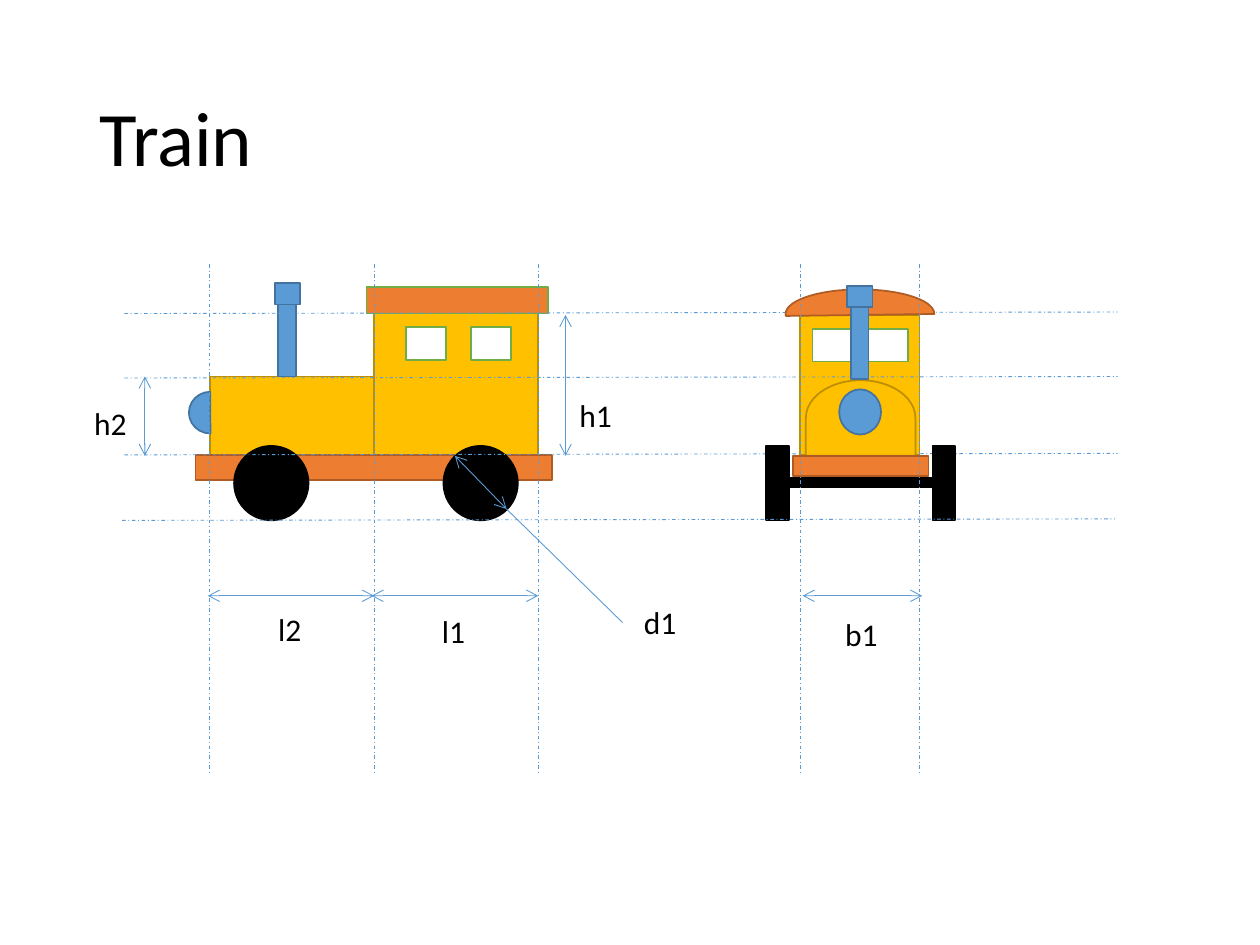
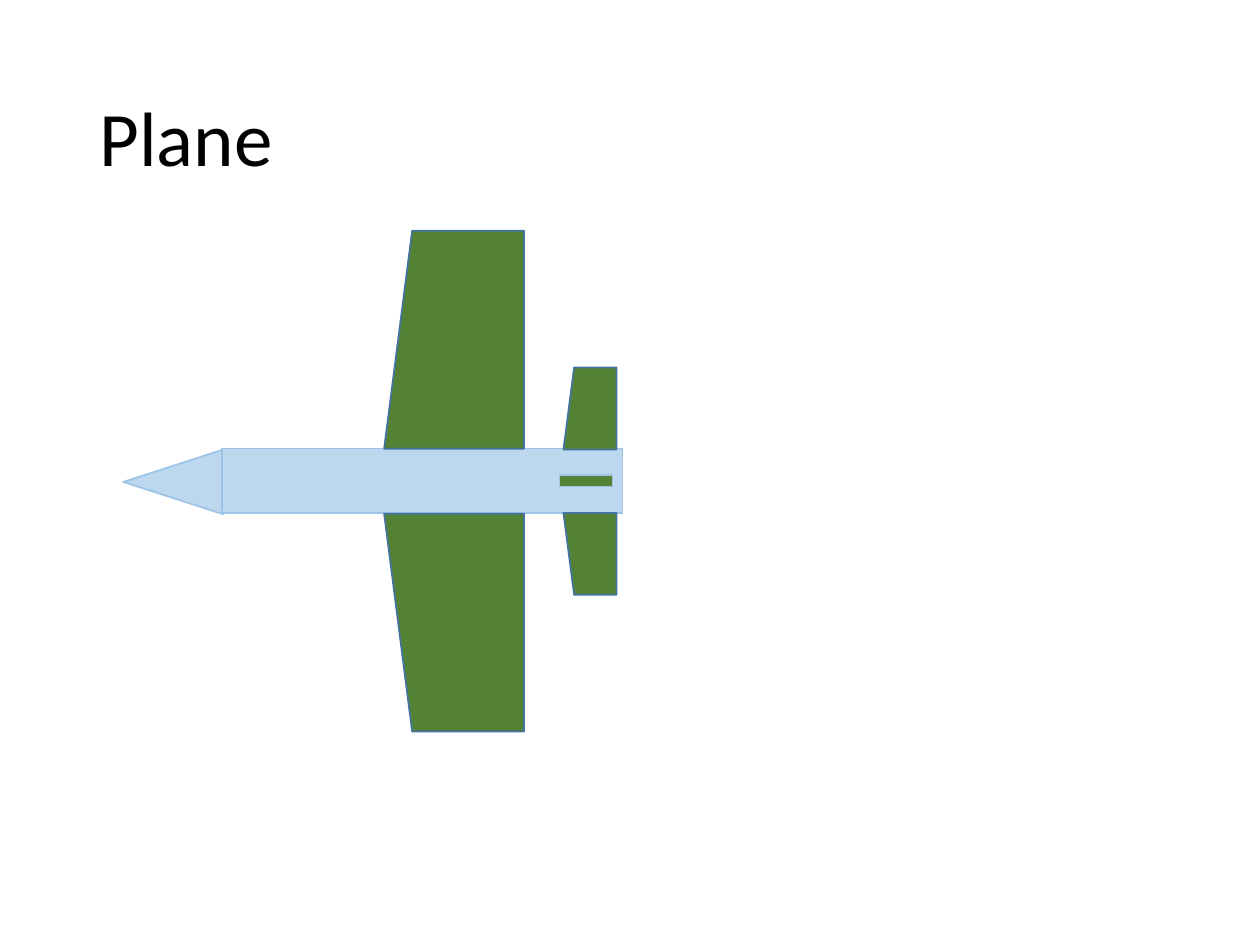
from pptx import Presentation
from pptx.dml.color import RGBColor
from pptx.enum.dml import MSO_LINE
from pptx.enum.shapes import MSO_CONNECTOR, MSO_SHAPE
from pptx.enum.text import MSO_ANCHOR, MSO_AUTO_SIZE, PP_ALIGN
from pptx.oxml.ns import qn
from pptx.util import Cm, Pt
from lxml.etree import SubElement

COLORS = {
    "black": "000000", "white": "FFFFFF", "yellow": "FFC000", "ochre": "BD8E00",
    "orange": "ED7D31", "rust": "AF5C24", "green": "70AD47", "blue": "5B9BD5",
    "navy": "43739E", "sky": "BDD7EE", "sky_edge": "9DC3E6", "forest": "548235",
}
# style: fill, line
STYLES = {
    "black": ("black", "black"), "body": ("yellow", "ochre"),
    "deck": ("orange", "rust"), "roof": ("orange", "green"),
    "window": ("white", "green"), "metal": ("blue", "navy"),
    "hull": ("sky", "sky_edge"), "wing": ("forest", "navy"),
    "fin": ("forest", "sky_edge"),
}
FONT = "Calibri"
RECT, OVAL, CHORD = MSO_SHAPE.RECTANGLE, MSO_SHAPE.OVAL, MSO_SHAPE.CHORD
WING = MSO_SHAPE.FLOWCHART_MANUAL_INPUT

# Train, all lengths in cm: (shape, style, (left, top, width, height), format)
WHEEL = 1.5
WHEEL_TOP = 8.99
AXLE = [(RECT, "black", (15.8, 9.63, 3.12, 0.2), {})]
SIDE_VIEW = [
    (RECT, "body", (4.24, 7.59, 3.3, 1.58), {}),
    (RECT, "body", (7.54, 6.32, 3.3, 2.87), {}),
    (RECT, "deck", (3.94, 9.17, 7.19, 0.51), {}),
    (RECT, "roof", (7.39, 5.79, 3.66, 0.53), {}),
    *[(RECT, "window", (x, 6.6, 0.81, 0.66), {}) for x in (8.18, 9.5)],
]
SIDE_FRONT = [
    (CHORD, "metal", (3.81, 7.9, 0.86, 0.84), {"adjust": (53.69, 162)}),
    *[(OVAL, "black", (x, WHEEL_TOP, WHEEL, WHEEL), {}) for x in (4.72, 8.94)],
]
FRONT_VIEW = [
    (RECT, "body", (16.13, 6.35, 2.41, 2.82), {}),
    (MSO_SHAPE.FLOWCHART_DELAY, "body", (16.59, 7.32, 1.52, 2.21), {"rotation": 270}),
    (OVAL, "metal", (16.92, 7.85, 0.84, 0.91), {}),
    (RECT, "deck", (15.98, 9.19, 2.74, 0.41), {}),
    (CHORD, "deck", (16.84, 4.83, 0.99, 3), {"rotation": 90, "adjust": (53.07, 162)}),
]
FRONT_WINDOWS = [(RECT, "window", (x, 6.63, 0.81, 0.66), {}) for x in (16.38, 17.5)]
FRONT_WHEELS = [(RECT, "black", (x, WHEEL_TOP, 0.46, WHEEL), {}) for x in (15.44, 18.8)]
SIDE_CHIMNEY, FRONT_CHIMNEY = (5.61, 6.12), (17.15, 6.17)

# Guides run slightly uphill: (left, top)
GUIDE_LENGTH, GUIDE_RISE = 20.02, 0.03
BACK_GUIDES = [(2.51, 9.17), (2.51, 6.32)]
TOP_GUIDES = [(2.46, 10.49), (2.51, 7.62)]
UPRIGHTS = [10.85, 7.54, 4.22, 16.13, 18.54]
UPRIGHT_TOP, UPRIGHT_END = 5.33, 15.57

DIM_Y = 12.01
DIMENSIONS = [
    (11.4, 6.35, 11.4, 9.19), (2.92, 7.59, 2.92, 9.19),
    *[(a, DIM_Y, b, DIM_Y) for a, b in ((4.19, 7.54), (7.49, 10.85), (16.18, 18.59))],
    (9.17, 9.19, 10.21, 10.26),
]
LEADER = (10.21, 10.26, 12.55, 12.55)
LABELS = [  # text, left, top, width
    ("h1", 11.43, 7.85, 1.17), ("h2", 1.65, 8.03, 1.17),
    ("l2", 5.36, 12.17, 0.97), ("l1", 8.66, 12.22, 0.97),
    ("d1", 12.73, 12.04, 1.17), ("b1", 16.79, 12.27, 1.17),
]

# Plane: lower wings mirror the upper ones about the axis
AXIS = 9.7
PLANE = [
    (MSO_SHAPE.FLOWCHART_EXTRACT, "hull", (2.84, 8.71, 1.3, 2.01), {"rotation": 270}),
    (RECT, "hull", (4.47, 9.04, 8.08, 1.3), {}),
]
UPPER_WINGS = [(6.96, 5.44, 4.39, 2.82), (11.07, 7.7, 1.65, 1.07)]
FIN = [(RECT, "fin", (11.28, 9.58, 1.07, 0.23), {})]


def rgb(name):
    """Return a named colour."""
    return RGBColor.from_string(COLORS[name])


def set_all(obj, values):
    """Set attributes from a dict."""
    for name, value in values.items():
        setattr(obj, name, value)


def style_text(p, text, size):
    """Write one run in the shared font."""
    r = p.add_run()
    r.text = text
    set_all(r.font, {"name": FONT, "size": Pt(size)})
    r.font.color.rgb = rgb("black")


def add_slide(prs, title):
    """Add a slide with the shared title style."""
    s = prs.slides.add_slide(prs.slide_layouts[5])
    sp = s.shapes.title
    set_all(sp, {"left": Cm(1.75), "top": Cm(1.02), "width": Cm(21.92), "height": Cm(3.68)})
    tf = sp.text_frame
    set_all(tf, {"vertical_anchor": MSO_ANCHOR.MIDDLE, "auto_size": MSO_AUTO_SIZE.NONE})
    p = tf.paragraphs[0]
    set_all(p, {"alignment": PP_ALIGN.LEFT, "line_spacing": 0.9})
    style_text(p, title, 44)
    return s


def draw(shapes, parts):
    """Draw filled parts from back to front."""
    for kind, style, box, fmt in parts:
        sp = shapes.add_shape(kind, *map(Cm, box))
        sp.shadow.inherit = False
        fill, line = STYLES[style]
        sp.fill.solid()
        sp.fill.fore_color.rgb = rgb(fill)
        sp.line.color.rgb = rgb(line)
        sp.line.width = Pt(1)
        sp.rotation = fmt.get("rotation", 0)
        for i, value in enumerate(fmt.get("adjust", ())):
            sp.adjustments[i] = value
        if fmt.get("flip"):
            sp._element.spPr.find(qn("a:xfrm")).set("flipV", "1")


def chimney(shapes, x, y):
    """Draw a pipe with its cap."""
    draw(shapes, [(RECT, "metal", (x, y, 0.36, 1.47), {}),
                  (RECT, "metal", (x - 0.07, y - 0.41, 0.51, 0.43), {})])


def add_line(shapes, ends, dashed=False, arrows=False):
    """Draw a thin line, dashed or with an arrow at both ends."""
    c = shapes.add_connector(MSO_CONNECTOR.STRAIGHT, *map(Cm, ends))
    c.line.color.rgb = rgb("blue")
    c.line.width = Pt(0.5)
    if dashed:
        c.line.dash_style = MSO_LINE.DASH_DOT
    if arrows:
        for tag in ("a:headEnd", "a:tailEnd"):
            SubElement(c.line._get_or_add_ln(), qn(tag), type="arrow")
    SubElement(c._element.spPr, qn("a:effectLst"))


def add_guides(shapes, starts):
    """Draw the long guides that join both views."""
    for x, y in starts:
        add_line(shapes, (x, y, x + GUIDE_LENGTH, y - GUIDE_RISE), dashed=True)


def add_label(shapes, text, x, y, width):
    """Add the name of a dimension."""
    tf = shapes.add_textbox(Cm(x), Cm(y), Cm(width), Cm(1.02)).text_frame
    set_all(tf, {"word_wrap": False, "auto_size": MSO_AUTO_SIZE.SHAPE_TO_FIT_TEXT})
    style_text(tf.paragraphs[0], text, 18)


def build_train(prs):
    """Build the side and front views with their dimensions."""
    shapes = add_slide(prs, "Train").shapes
    draw(shapes, AXLE + SIDE_VIEW)
    chimney(shapes, *SIDE_CHIMNEY)
    draw(shapes, SIDE_FRONT)
    add_guides(shapes, BACK_GUIDES)
    draw(shapes, FRONT_VIEW)
    draw(shapes.add_group_shape().shapes, FRONT_WINDOWS)
    draw(shapes, FRONT_WHEELS)
    chimney(shapes, *FRONT_CHIMNEY)
    add_guides(shapes, TOP_GUIDES)
    for x in UPRIGHTS:
        add_line(shapes, (x, UPRIGHT_TOP, x, UPRIGHT_END), dashed=True)
    for ends in DIMENSIONS:
        add_line(shapes, ends, arrows=True)
    add_line(shapes, LEADER)
    for label in LABELS:
        add_label(shapes, *label)


def build_plane(prs):
    """Build the plane seen from above."""
    shapes = add_slide(prs, "Plane").shapes
    draw(shapes, PLANE)
    for x, y, w, h in UPPER_WINGS:
        mirrored = 2 * AXIS - y - h
        draw(shapes, [(WING, "wing", (x, y, w, h), {"rotation": 90, "flip": True}),
                      (WING, "wing", (x, mirrored, w, h), {"rotation": 270})])
    draw(shapes, FIN)


prs = Presentation()
set_all(prs, {"slide_width": Cm(25.4), "slide_height": Cm(19.05)})
build_train(prs)
build_plane(prs)
prs.save("out.pptx")
